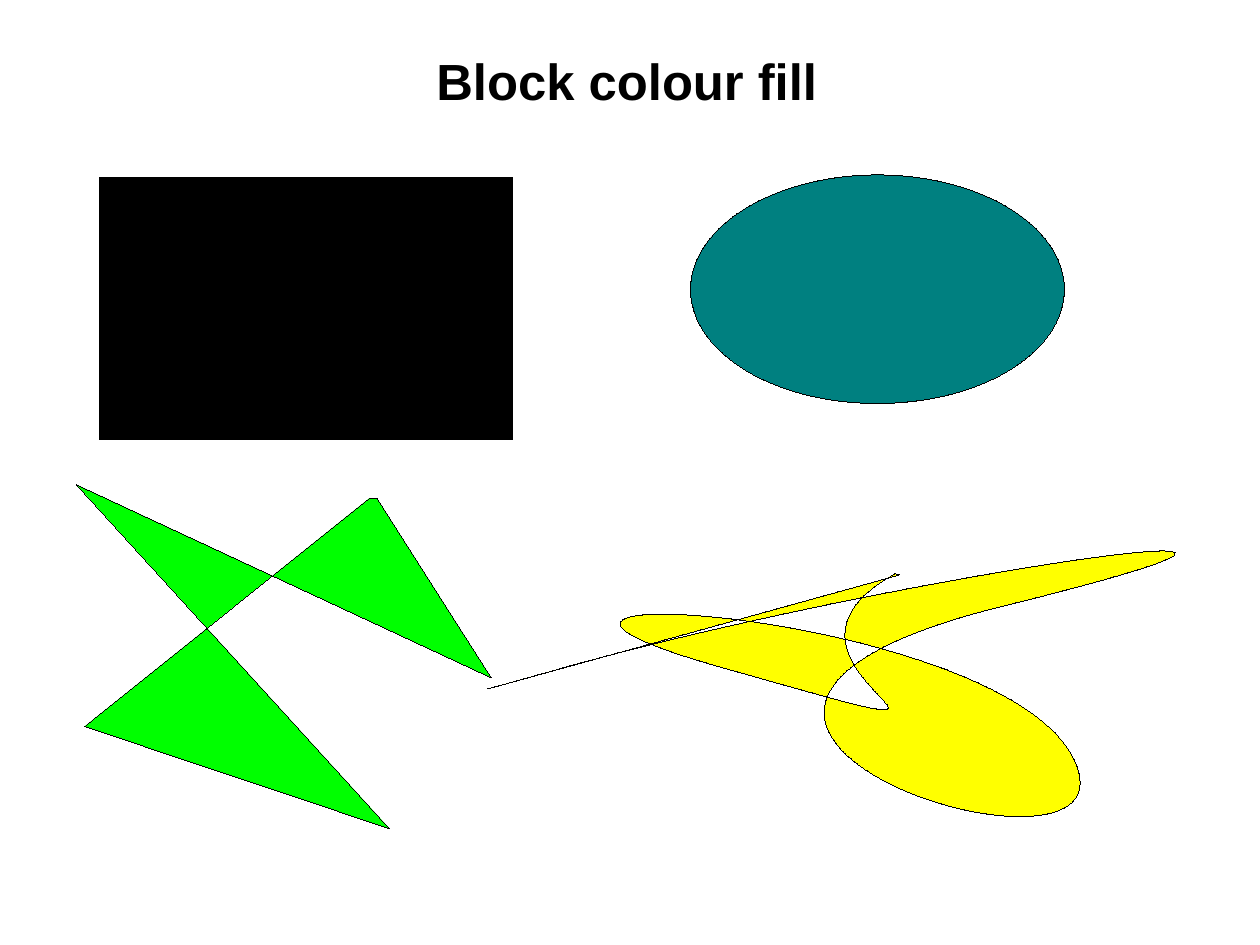
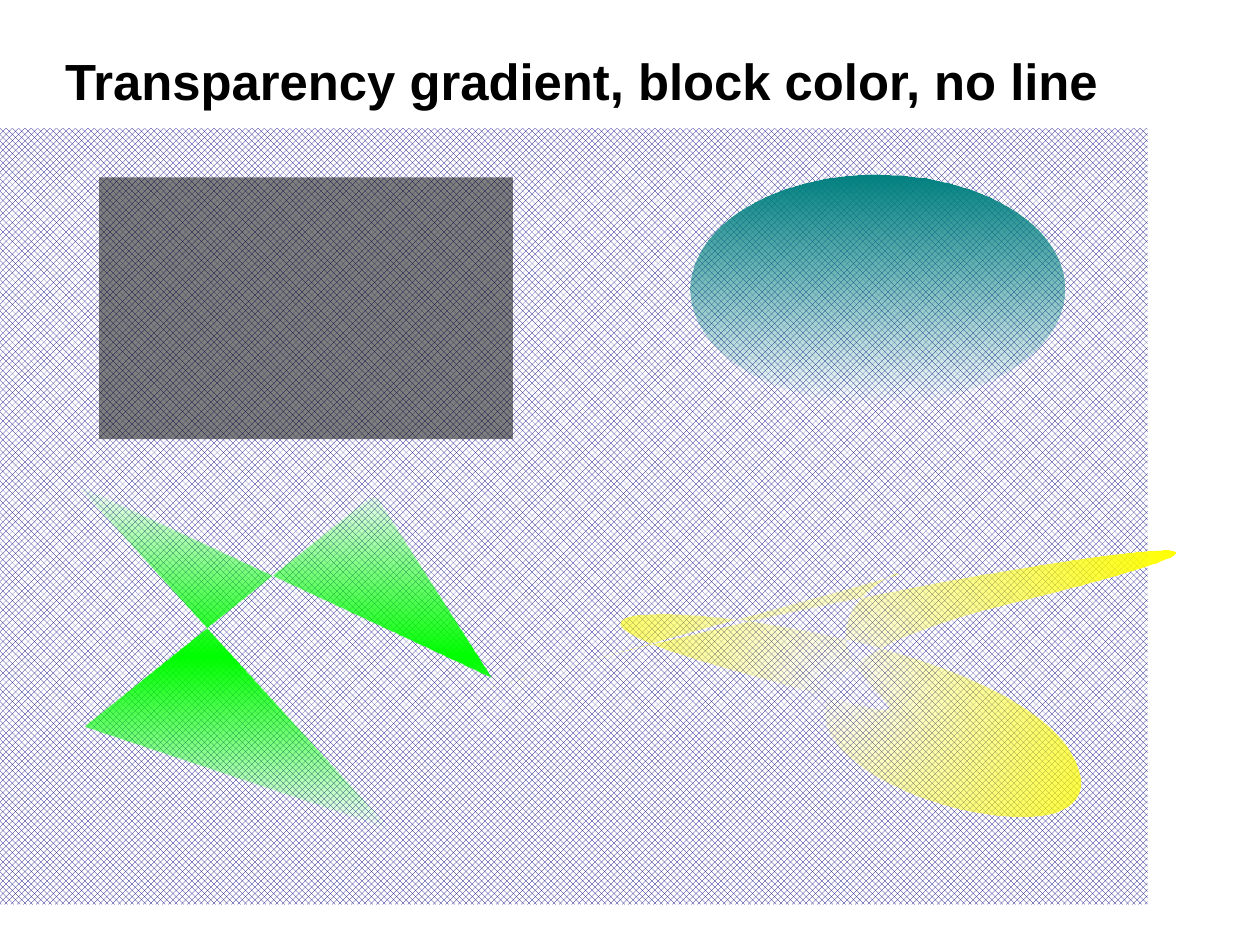
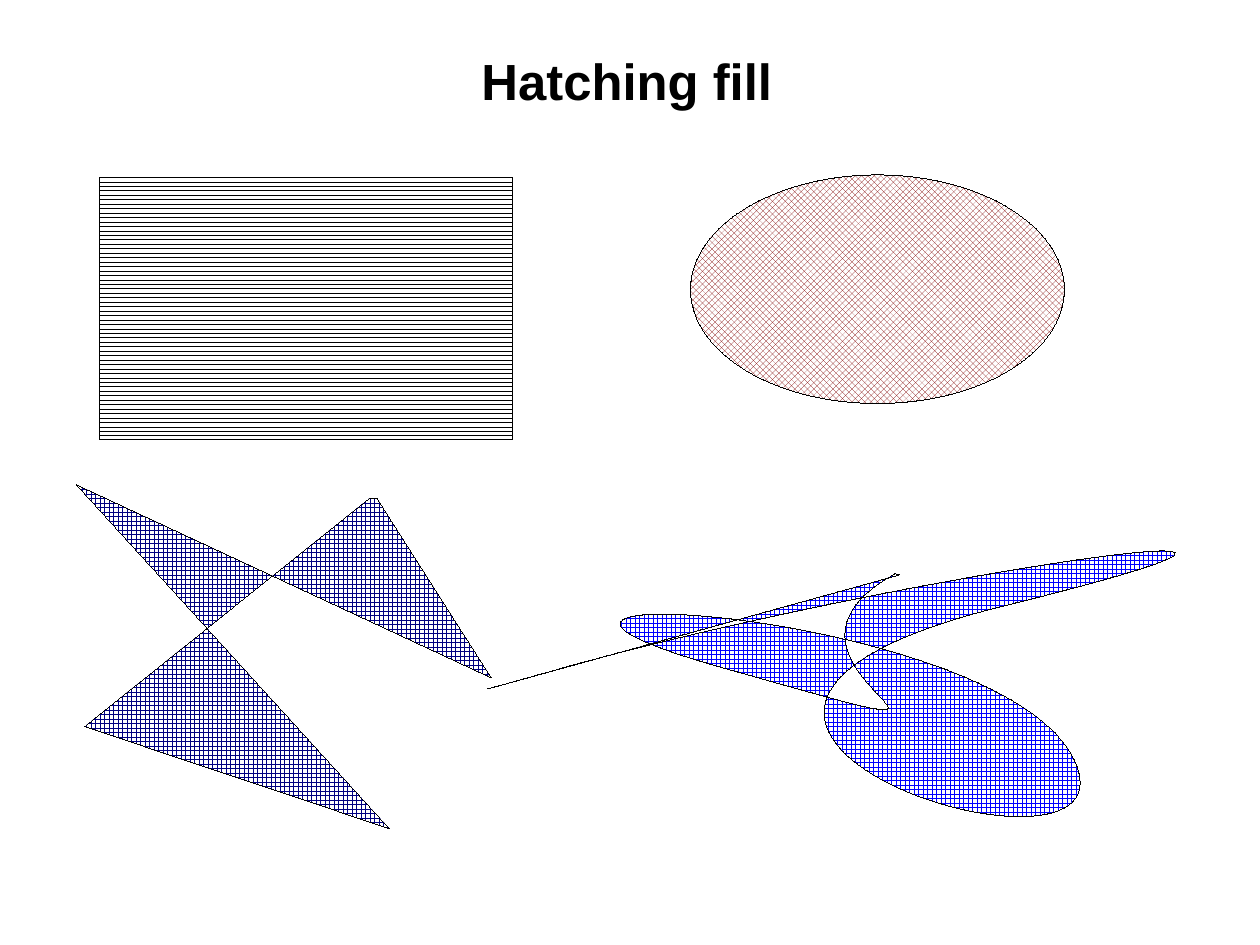
from dataclasses import dataclass

from lxml.etree import SubElement
from pptx import Presentation
from pptx.dml.color import RGBColor
from pptx.enum.dml import MSO_PATTERN
from pptx.enum.shapes import MSO_SHAPE
from pptx.enum.text import MSO_ANCHOR, MSO_AUTO_SIZE, PP_ALIGN
from pptx.oxml import parse_xml
from pptx.oxml.ns import nsdecls, qn
from pptx.util import Pt


@dataclass(frozen=True)
class Theme:
    black: str = "000000"
    white: str = "FFFFFF"
    teal: str = "008080"
    yellow: str = "FFFF00"
    green: str = "00FF00"
    navy: str = "000080"
    blue: str = "0000FF"
    maroon: str = "800000"
    font: str = "Arial"
    title_size: float = 32


theme = Theme()
DOWNWARD = '<a:lin ang="5400000" scaled="0"/>'
FROM_CENTRE = '<a:path path="circle"><a:fillToRect l="50000" t="50000" r="50000" b="50000"/></a:path>'


def paint(shape, style, colour, *options, outlined):
    shape.shadow.inherit = False
    properties = shape.element.spPr
    if style == "pattern":
        shape.fill.patterned()
        shape.fill.pattern = MSO_PATTERN.from_xml(options[0])
        shape.fill.fore_color.rgb = RGBColor.from_string(colour)
        shape.fill.back_color.rgb = RGBColor.from_string(theme.white)
    elif style == "fade":
        direction, opacities = options
        step = 100000 // (len(opacities) - 1)
        stops = "".join(
            f'<a:gs pos="{i * step}"><a:srgbClr val="{colour}"><a:alpha val="{opacity * 1000}"/></a:srgbClr></a:gs>'
            for i, opacity in enumerate(opacities)
        )
        shape.fill.background()
        properties.replace(
            properties.find(qn("a:noFill")),
            parse_xml(f'<a:gradFill {nsdecls("a")} rotWithShape="1"><a:gsLst>{stops}</a:gsLst>{direction}</a:gradFill>'),
        )
    else:
        shape.fill.solid()
        shape.fill.fore_color.rgb = RGBColor.from_string(colour)
        if options:
            SubElement(properties.find(qn("a:solidFill"))[0], qn("a:alpha"), val=str(options[0] * 1000))
    if outlined:
        shape.line.color.rgb = RGBColor.from_string(theme.black)
        properties.find(qn("a:ln")).set("w", "0")
    else:
        shape.line.fill.background()


def outline(shapes, points):
    corners = [(Pt(x), Pt(y)) for x, y in points]
    builder = shapes.build_freeform(*corners[0], scale=1.0)
    builder.add_line_segments(corners[1:], close=True)
    return builder.convert_to_shape()


zigzag_points = [(232.6, 313.9), (53.3, 457.6), (245.5, 522), (48.2, 305.3), (309.6, 427), (237.6, 313.9)]

loop_left, loop_top, loop_right, loop_bottom = 307.4, 347, 740.2, 514.8
loop_frame = [(loop_left, loop_top), (loop_right, loop_top), (loop_right, loop_bottom), (loop_left, loop_bottom)]
loop_start = (563.8, 361.4)
loop_segments = [
    ("a:moveTo", [loop_start]),
    ("a:cubicBezTo", [(455.8, 421.2), (678.2, 483.8), (457.2, 421.2)]),
    ("a:cubicBezTo", [(236.2, 359.3), (632.9, 383), (676.8, 478.8)]),
    ("a:cubicBezTo", [(721.4, 574.6), (337.7, 455), (630, 382.3)]),
    ("a:cubicBezTo", [(921.6, 310.3), (565.9, 362.2), (363.6, 418.3)]),
    ("a:cubicBezTo", [(161.3, 474.5), (566.6, 362.2), (566.6, 362.2)]),
    ("a:lnTo", [loop_start]),
    ("a:close", []),
]

pages = [
    {
        "title": "Block colour fill",
        "title_span": (95, 600),
        "outlined": True,
        "loop": ("solid", theme.yellow),
        "rectangle": ("solid", theme.black),
        "ellipse": ("solid", theme.teal),
        "zigzag": ("solid", theme.green),
    },
    {
        "title": "Transparency gradient, block color, no line",
        "title_span": (38.9, 656),
        "outlined": False,
        "backdrop": ("pattern", theme.navy, "openDmnd"),
        "loop": ("fade", theme.yellow, FROM_CENTRE, (0, 100)),
        "rectangle": ("solid", theme.black, 50),
        "ellipse": ("fade", theme.teal, DOWNWARD, (100, 0)),
        "zigzag": ("fade", theme.green, DOWNWARD, (0, 100, 0)),
    },
    {
        "title": "Hatching fill",
        "title_span": (95, 600),
        "outlined": True,
        "loop": ("pattern", theme.blue, "lgGrid"),
        "rectangle": ("pattern", theme.black, "horz"),
        "ellipse": ("pattern", theme.maroon, "openDmnd"),
        "zigzag": ("pattern", theme.navy, "lgGrid"),
    },
]

deck = Presentation()
deck.slide_width, deck.slide_height = Pt(793.7), Pt(595.3)
title_only = deck.slide_layouts[5]

for page in pages:
    slide = deck.slides.add_slide(title_only)
    shapes = slide.shapes
    outlined = page["outlined"]

    heading = shapes.title
    left, width = page["title_span"]
    heading.left, heading.top, heading.width, heading.height = Pt(left), Pt(27.4), Pt(width), Pt(50.4)
    frame = heading.text_frame
    frame.text = page["title"]
    frame.margin_left = frame.margin_top = frame.margin_right = frame.margin_bottom = 0
    frame.vertical_anchor = MSO_ANCHOR.MIDDLE
    frame.auto_size = MSO_AUTO_SIZE.SHAPE_TO_FIT_TEXT
    frame.word_wrap = True
    line = frame.paragraphs[0]
    line.alignment = PP_ALIGN.CENTER
    line.line_spacing = 0.93
    font = line.runs[0].font
    font.name, font.size, font.bold = theme.font, Pt(theme.title_size), True
    font.color.rgb = RGBColor.from_string(theme.black)

    if "backdrop" in page:
        backdrop = shapes.add_shape(MSO_SHAPE.RECTANGLE, Pt(0), Pt(80.8), Pt(723), Pt(489))
        paint(backdrop, *page["backdrop"], outlined=outlined)
        heading.element.addprevious(backdrop.element)

    loop = outline(shapes, loop_frame)
    route = next(loop.element.iter(qn("a:path")))
    for side in list(route):
        route.remove(side)
    for command, points in loop_segments:
        segment = SubElement(route, qn(command))
        for x, y in points:
            SubElement(segment, qn("a:pt"), x=str(Pt(x - loop_left)), y=str(Pt(y - loop_top)))
    paint(loop, *page["loop"], outlined=outlined)

    rectangle = shapes.add_shape(MSO_SHAPE.RECTANGLE, Pt(62.5), Pt(111.7), Pt(260.6), Pt(165))
    paint(rectangle, *page["rectangle"], outlined=outlined)
    ellipse = shapes.add_shape(MSO_SHAPE.OVAL, Pt(435), Pt(110.2), Pt(235.5), Pt(144))
    paint(ellipse, *page["ellipse"], outlined=outlined)
    zigzag = outline(shapes, zigzag_points)
    paint(zigzag, *page["zigzag"], outlined=outlined)

deck.save("out.pptx")
